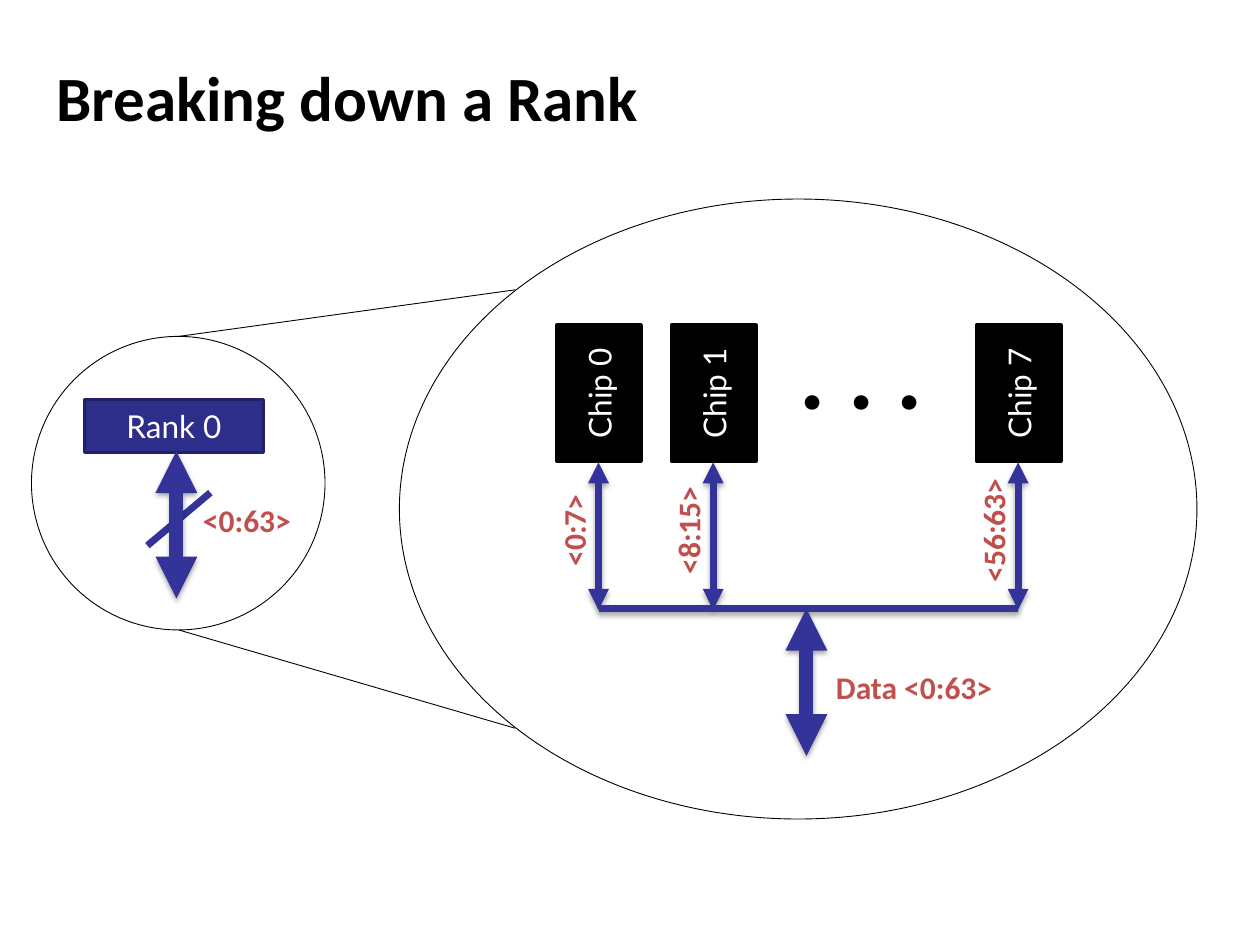
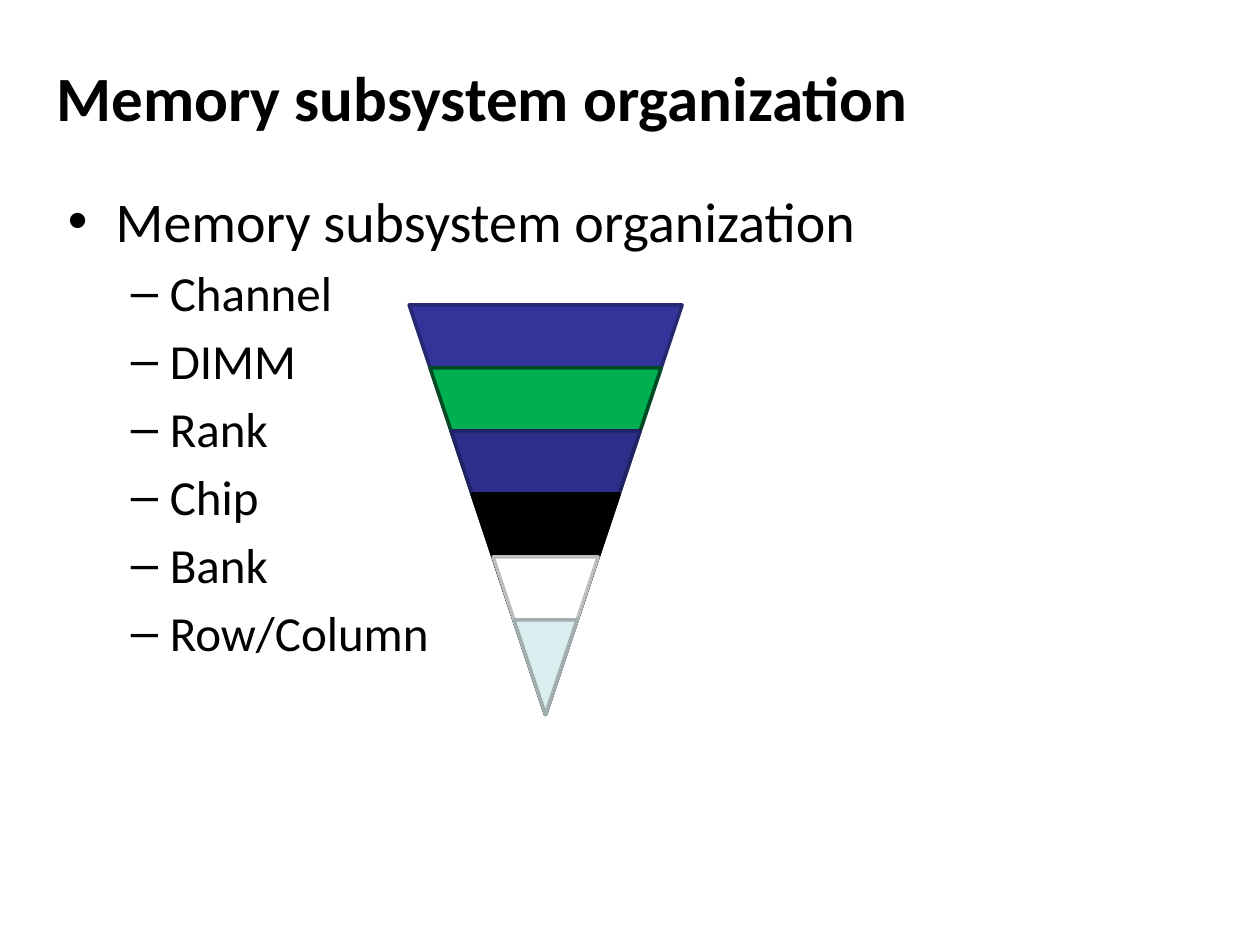
import pptx
import pptx.dml.color
import pptx.enum.shapes
import pptx.enum.text
import pptx.oxml
import pptx.oxml.ns
import pptx.util
from pptx.util import Inches

SHAPES = pptx.enum.shapes.MSO_SHAPE
ALIGN = pptx.enum.text.PP_ALIGN
ANCHOR = pptx.enum.text.MSO_ANCHOR

BLACK = "000000"
WHITE = "FFFFFF"
WIRE_BLUE = "333399"
RANK_BLUE = "2D2D8A"
RANK_EDGE = "212166"
BIT_RED = "C0504D"

DRAWING_NS = pptx.oxml.ns.nsdecls("a")
SHADOW = (
    f'<a:effectLst {DRAWING_NS}><a:outerShdw blurRad="39370" dist="22860" dir="5400000" '
    'rotWithShape="0"><a:srgbClr val="000000"><a:alpha val="35000"/></a:srgbClr>'
    "</a:outerShdw></a:effectLst>"
)
NO_EFFECT = f"<a:effectLst {DRAWING_NS}/>"


def color(hex_string):
    return pptx.dml.color.RGBColor.from_string(hex_string)


class SlideBuilder:
    def __init__(self, deck):
        self.deck = deck
        self.slide = None

    def start_slide(self, title):
        self.slide = self.deck.slides.add_slide(self.deck.slide_layouts[6])
        box = self.text(title, 0.35, 0.35, 9, 0.83, size=36, align=ALIGN.LEFT)
        box.text_frame.vertical_anchor = ANCHOR.MIDDLE

    def style(self, para, size, hex_string, font="Calibri", bold=False):
        para.font.name = font
        para.font.size = pptx.util.Pt(size)
        para.font.bold = bold
        para.font.color.rgb = color(hex_string)

    def text(self, words, left, top, width, height, size=18, hex_string=BLACK,
             align=ALIGN.CENTER, rotation=0):
        box = self.slide.shapes.add_textbox(
            Inches(left), Inches(top), Inches(width), Inches(height))
        box.rotation = rotation
        box.text_frame.word_wrap = True
        para = box.text_frame.paragraphs[0]
        para.text = words
        para.alignment = align
        self.style(para, size, hex_string, bold=True)
        return box

    def shape(self, kind, left, top, width, height, fill=None, edge=BLACK, weight=2):
        shape = self.slide.shapes.add_shape(
            kind, Inches(left), Inches(top), Inches(width), Inches(height))
        shape.shadow.inherit = False
        if fill:
            shape.fill.solid()
            shape.fill.fore_color.rgb = color(fill)
        else:
            shape.fill.background()
        shape.line.color.rgb = color(edge)
        shape.line.width = pptx.util.Pt(weight)
        return shape

    def block(self, words, left, top, width, height, fill, edge, upright=False):
        """Draw a labelled rectangle; upright text reads from bottom to top."""
        block = self.shape(SHAPES.RECTANGLE, left, top, width, height, fill, edge)
        frame = block.text_frame
        frame.vertical_anchor = ANCHOR.MIDDLE
        para = frame.paragraphs[0]
        para.text = words
        para.alignment = ALIGN.CENTER
        self.style(para, 18, WHITE, font="Lato")
        if upright:
            block.element.find(".//" + pptx.oxml.ns.qn("a:bodyPr")).set("vert", "vert270")

    def line(self, start, end, hex_string=WIRE_BLUE, weight=4, arrows=False, shadow=False):
        line = self.slide.shapes.add_connector(
            pptx.enum.shapes.MSO_CONNECTOR.STRAIGHT,
            Inches(start[0]), Inches(start[1]), Inches(end[0]), Inches(end[1]))
        line.line.color.rgb = color(hex_string)
        line.line.width = pptx.util.Pt(weight)
        if arrows:
            outline = line.line._get_or_add_ln()
            for tag in ("headEnd", "tailEnd"):
                outline.append(pptx.oxml.parse_xml(f'<a:{tag} {DRAWING_NS} type="triangle"/>'))
        properties = line.element.find(pptx.oxml.ns.qn("p:spPr"))
        properties.append(pptx.oxml.parse_xml(SHADOW if shadow else NO_EFFECT))

    def data_arrow(self, x, top, weight):
        self.line((x, top + 1.17), (x, top), weight=weight, arrows=True, shadow=True)

    def bullets(self, heading, items, left, top, width, height):
        box = self.slide.shapes.add_textbox(
            Inches(left), Inches(top), Inches(width), Inches(height))
        frame = box.text_frame
        frame.word_wrap = True
        for index, words in enumerate([heading] + items):
            para = frame.paragraphs[0] if index == 0 else frame.add_paragraph()
            mark, size, margin, indent, gap = (
                ("–", 28, 0.81, -0.31, 5.2) if index else ("•", 32, 0.38, -0.38, 6))
            para.text = words
            para.level = 1 if index else 0
            para.space_before = pptx.util.Pt(gap)
            self.style(para, size, BLACK)
            properties = para._p.get_or_add_pPr()
            properties.set("marL", str(Inches(margin)))
            properties.set("indent", str(Inches(indent)))
            properties.append(pptx.oxml.parse_xml(f'<a:buFont {DRAWING_NS} typeface="Arial"/>'))
            properties.append(pptx.oxml.parse_xml(f'<a:buChar {DRAWING_NS} char="{mark}"/>'))


def build_rank_slide(builder):
    builder.start_slide("Breaking down a Rank")

    builder.block("Rank 0", 0.67, 3.17, 1.42, 0.42, RANK_BLUE, RANK_EDGE)
    builder.line((1.17, 4.33), (1.67, 3.91))
    builder.data_arrow(1.4, 3.58, weight=8)
    builder.text("<0:63>", 1.42, 3.93, 1.08, 0.4, hex_string=BIT_RED)

    builder.line((1.42, 2.67), (4.09, 2.3), BLACK, 0.5)
    builder.line((1.42, 5), (4.09, 5.78), BLACK, 0.5)
    builder.shape(SHAPES.OVAL, 0.25, 2.67, 2.33, 2.33, weight=0.5)

    chips = [("Chip 0", "<0:7>", 4.42), ("Chip 1", "<8:15>", 5.33), ("Chip 7", "<56:63>", 7.75)]
    for name, bits, left in chips:
        builder.block(name, left, 2.58, 0.67, 1.08, BLACK, BLACK, upright=True)
        builder.data_arrow(left + 0.33, 3.67, weight=4)
        builder.text(bits, left - 0.41, 4.01, 1.08, 0.4, hex_string=BIT_RED, rotation=270)
    builder.text(". . .", 6.17, 2.42, 1.33, 1.04, size=56)

    builder.line((4.75, 4.83), (8.08, 4.83), shadow=True)
    builder.data_arrow(6.4, 4.83, weight=8)
    builder.text("Data <0:63>", 6.42, 5.25, 1.67, 0.4, hex_string=BIT_RED)
    builder.shape(SHAPES.OVAL, 3.17, 1.58, 6.33, 4.92, weight=0.5)


def build_organization_slide(builder):
    title = "Memory subsystem organization"
    builder.start_slide(title)
    levels = [
        ("Channel", WIRE_BLUE, "262671"),
        ("DIMM", "00B050", "004C22"),
        ("Rank", RANK_BLUE, RANK_EDGE),
        ("Chip", BLACK, BLACK),
        ("Bank", WHITE, "BDBDBD"),
        ("Row/Column", "DAEDEF", "A1AFB1"),
    ]
    builder.bullets(title, [name for name, fill, edge in levels], 0.44, 1.43, 9.13, 5.48)

    center, tip = 4.33, 5.67
    for index, (name, fill, edge) in enumerate(levels):
        height = 3.25 - 0.5 * index
        width = height * 2 / 3
        builder.shape(SHAPES.FLOWCHART_MERGE, center - width / 2, tip - height,
                      width, height, fill, edge)


def main():
    deck = pptx.Presentation()
    deck.slide_width = Inches(10)
    deck.slide_height = Inches(7.5)
    builder = SlideBuilder(deck)
    build_rank_slide(builder)
    build_organization_slide(builder)
    deck.save("out.pptx")


if __name__ == "__main__":
    main()
